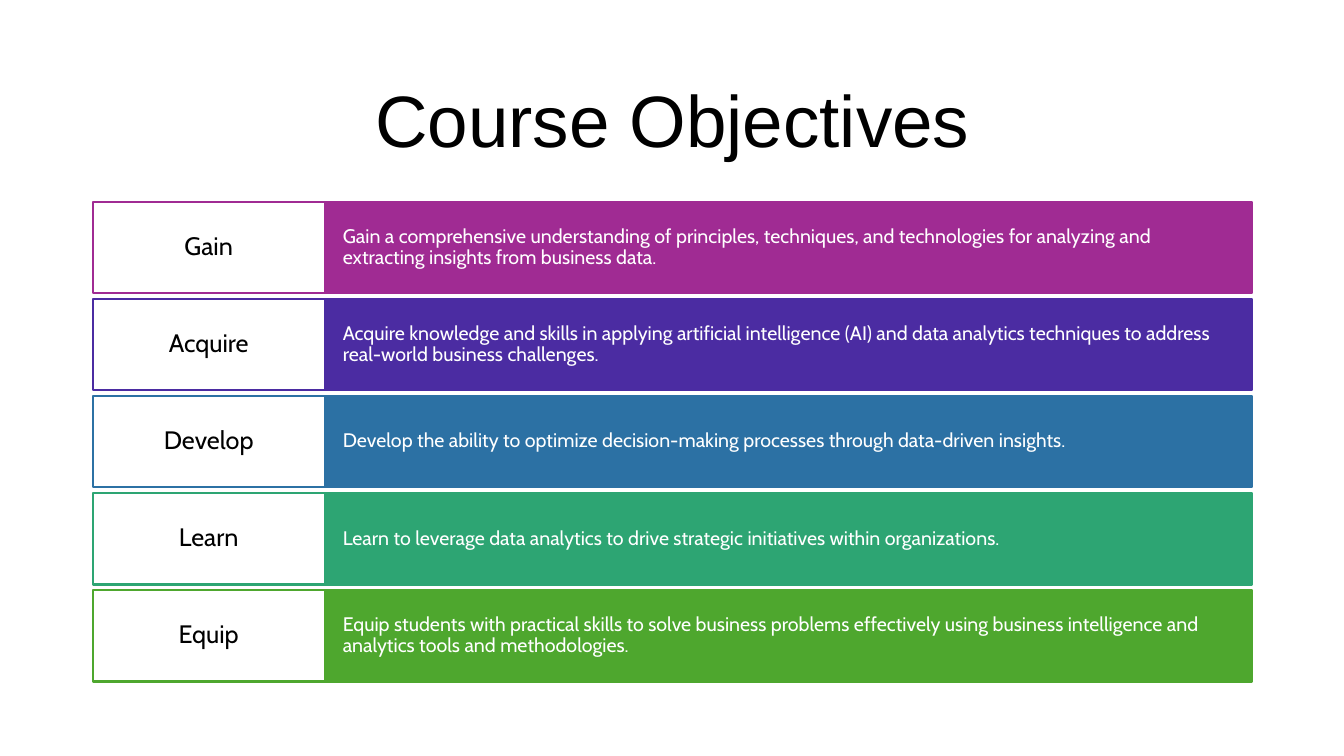
from pptx import Presentation
from pptx.dml.color import RGBColor
from pptx.enum.shapes import MSO_SHAPE
from pptx.enum.text import MSO_ANCHOR, PP_ALIGN
from pptx.util import Inches, Pt

RECTANGLE = MSO_SHAPE.RECTANGLE
MIDDLE = MSO_ANCHOR.MIDDLE
LEFT, CENTER = PP_ALIGN.LEFT, PP_ALIGN.CENTER

BLACK = RGBColor(0x00, 0x00, 0x00)
WHITE = RGBColor(0xFF, 0xFF, 0xFF)
MAGENTA = RGBColor(0xA0, 0x2B, 0x93)
INDIGO = RGBColor(0x4B, 0x2C, 0xA2)
BLUE = RGBColor(0x2C, 0x71, 0xA4)
TEAL = RGBColor(0x2D, 0xA5, 0x73)
GREEN = RGBColor(0x4E, 0xA7, 0x2E)

TITLE = "Course Objectives"
OBJECTIVES = [
    ("Gain", MAGENTA,
     "Gain a comprehensive understanding of principles, techniques, and "
     "technologies for analyzing and extracting insights from business data."),
    ("Acquire", INDIGO,
     "Acquire knowledge and skills in applying artificial intelligence (AI) and "
     "data analytics techniques to address real-world business challenges."),
    ("Develop", BLUE,
     "Develop the ability to optimize decision-making processes through "
     "data-driven insights."),
    ("Learn", TEAL,
     "Learn to leverage data analytics to drive strategic initiatives within "
     "organizations."),
    ("Equip", GREEN,
     "Equip students with practical skills to solve business problems effectively "
     "using business intelligence and analytics tools and methodologies."),
]

MARGIN = 0.92
VERB_WIDTH, DETAIL_WIDTH = 2.3, 9.2
FIRST_TOP, ROW_HEIGHT, ROW_PITCH = 2.0, 0.91, 0.963


def write(frame, text, font_name, size, color, align):
    frame.text = text
    frame.word_wrap = True
    frame.vertical_anchor = MIDDLE
    paragraph = frame.paragraphs[0]
    paragraph.alignment = align
    paragraph.line_spacing = 0.9
    font = paragraph.runs[0].font
    font.name, font.size, font.color.rgb = font_name, Pt(size), color


def add_cell(slide, left, top, width, fill, outline, insets):
    """Add one outlined row cell and return its text frame."""
    cell = slide.shapes.add_shape(
        RECTANGLE, Inches(left), Inches(top), Inches(width), Inches(ROW_HEIGHT))
    cell.shadow.inherit = False
    cell.fill.solid()
    cell.fill.fore_color.rgb = fill
    cell.line.color.rgb = outline
    cell.line.width = Pt(1.5)
    frame = cell.text_frame
    across, down = insets
    frame.margin_left = frame.margin_right = Inches(across)
    frame.margin_top = frame.margin_bottom = Inches(down)
    return frame


def main():
    prs = Presentation()
    prs.slide_width, prs.slide_height = Inches(13.33), Inches(7.5)
    slide = prs.slides.add_slide(prs.slide_layouts[5])

    title = slide.shapes.title
    title.left, title.top = Inches(MARGIN), Inches(0.61)
    title.width, title.height = Inches(VERB_WIDTH + DETAIL_WIDTH), Inches(1.24)
    write(title.text_frame, TITLE, "Arial", 52, BLACK, CENTER)

    for row, (verb, color, detail) in enumerate(OBJECTIVES):
        top = FIRST_TOP + row * ROW_PITCH
        detail_frame = add_cell(slide, MARGIN + VERB_WIDTH, top, DETAIL_WIDTH,
                                color, color, (0.18, 0.23))
        write(detail_frame, detail, "Cabin", 14, WHITE, LEFT)
        verb_frame = add_cell(slide, MARGIN, top, VERB_WIDTH,
                              WHITE, color, (0.12, 0.09))
        write(verb_frame, verb, "Cabin", 18, BLACK, CENTER)

    prs.save("out.pptx")


if __name__ == "__main__":
    main()
